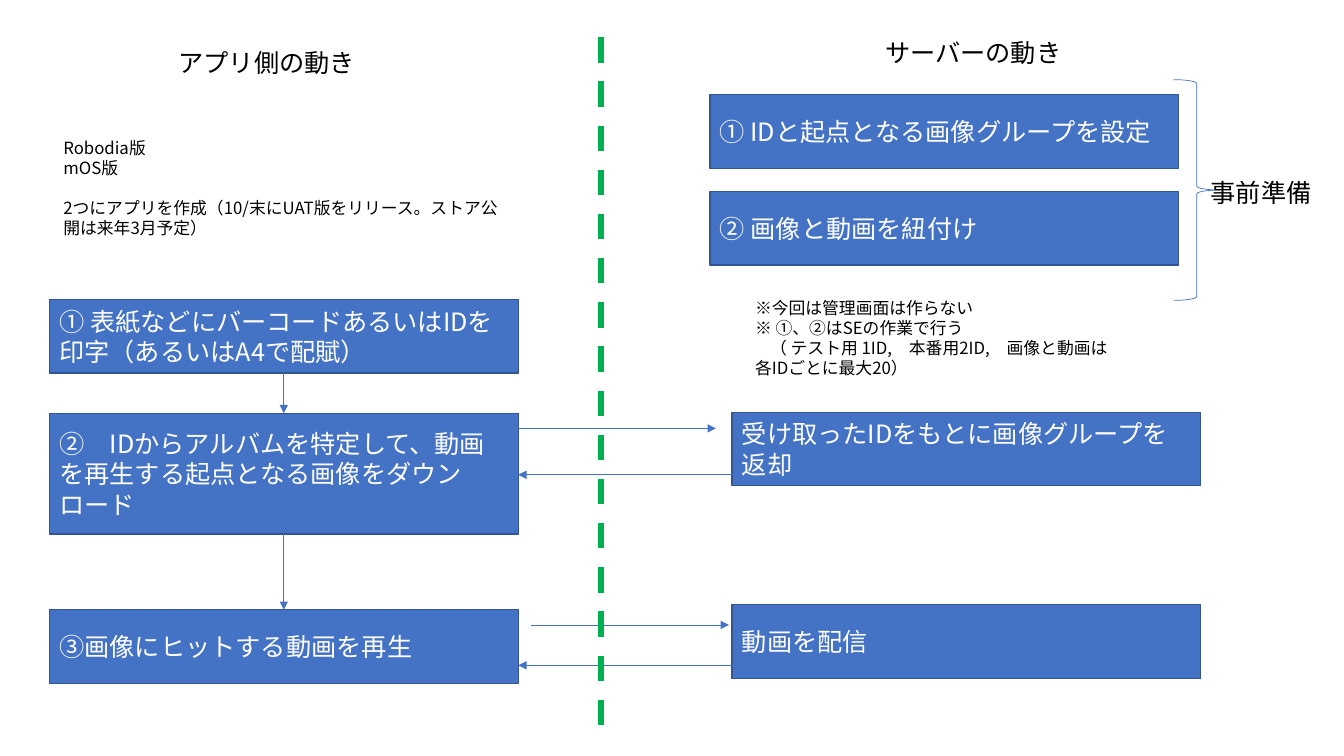
from dataclasses import dataclass
from pptx import Presentation
from pptx.dml.color import RGBColor
from pptx.enum.dml import MSO_LINE
from pptx.enum.shapes import MSO_CONNECTOR, MSO_SHAPE
from pptx.enum.text import MSO_ANCHOR, PP_ALIGN
from pptx.oxml.ns import qn
from pptx.util import Inches, Pt
from lxml import etree

RECT, BRACE = MSO_SHAPE.RECTANGLE, MSO_SHAPE.RIGHT_BRACE
LINE, DASH = MSO_CONNECTOR.STRAIGHT, MSO_LINE.DASH
TOP, MID, LEFT = MSO_ANCHOR.TOP, MSO_ANCHOR.MIDDLE, PP_ALIGN.LEFT


@dataclass(frozen=True)
class Theme:
    face: str = "Noto Sans CJK JP"
    big: int = 18
    small: int = 12
    blue: str = "4472C4"
    edge: str = "325491"
    green: str = "00B050"
    white: str = "FFFFFF"
    black: str = "000000"


T = Theme()
WIDE, HIGH, TALL = 4.65, 0.73, 1.2
APP, PREP, SERVE = 0.49, 7.04, 7.26

TITLE = ("アプリ側の動き", (1.67, 0.42, 1.97, 0.4))
LABELS = [
    ("サーバーの動き", (8.68, 0.32, 1.97, 0.4)),
    ("事前準備", (11.91, 1.71, 1.21, 0.4)),
]
STEPS = [
    ("① 表紙などにバーコードあるいはIDを印字（あるいはA4で配賦）", 2.97, HIGH),
    ("②　IDからアルバムを特定して、動画を再生する起点となる画像をダウンロード", 4.1, TALL),
    ("③画像にヒットする動画を再生", 6.05, HIGH),
]
SERVER = [
    ("① IDと起点となる画像グループを設定", PREP, 0.94),
    ("② 画像と動画を紐付け", PREP, 1.9),
    ("受け取ったIDをもとに画像グループを返却", SERVE, 4.09),
    ("動画を配信", SERVE, 6),
]
NOTES = [
    ((0.53, 1.32, 4.53, 1.11), [
        ("Robodia版", 0, 0),
        ("mOS版", 0, 0),
        ("2つにアプリを作成（10/末にUAT版をリリース。ストア公開は来年3月予定）", 14, 0),
    ]),
    ((7.39, 2.9, 3.78, 1.11), [
        ("※今回は管理画面は作らない", 0, 0),
        ("※ ①、②はSEの作業で行う", 0, 0),
        ("（ テスト用 1ID,　本番用2ID,　画像と動画は", 0, 0.15),
        ("各IDごとに最大20）", 0, 0),
    ]),
]
CALLS = [(5.14, 7.1, 4.25), (7.35, 5.14, 4.71), (7.35, 5.14, 6.6), (5.27, 7.23, 6.2)]
GROUP = (11.64, 0.79, 0.46, 2.19)
SPLIT = (5.96, 0.37, 5.96, 7.33)


def tint(code):
    return RGBColor.from_string(code)


def style(para, size, color):
    font = para.font
    font.name, font.size, font.bold = T.face, Pt(size), False
    font.color.rgb = tint(color)
    para.alignment = LEFT
    props = para._p.get_or_add_pPr().find(qn("a:defRPr"))
    east = etree.Element(qn("a:ea"), typeface=T.face)
    props.find(qn("a:latin")).addnext(east)


def write(shape, rows, size, color, wrap=True, anchor=TOP):
    frame = shape.text_frame
    frame.word_wrap, frame.vertical_anchor = wrap, anchor
    for num, (text, gap, dent) in enumerate(rows):
        para = frame.paragraphs[0] if num == 0 else frame.add_paragraph()
        para.text = text
        style(para, size, color)
        para.space_before = Pt(gap)
        if dent:
            props = para._p.get_or_add_pPr()
            props.set("marL", "0")
            props.set("indent", str(Inches(dent)))


def place(shape, area):
    shape.left, shape.top, shape.width, shape.height = map(Inches, area)


def add_box(text, area):
    box = slide.shapes.add_shape(RECT, *map(Inches, area))
    box.shadow.inherit = False
    box.fill.solid()
    box.fill.fore_color.rgb = tint(T.blue)
    box.line.color.rgb = tint(T.edge)
    box.line.width = Pt(1)
    write(box, [(text, 0, 0)], T.big, T.white, anchor=MID)


def add_line(ends, color, width):
    link = slide.shapes.add_connector(LINE, *map(Inches, ends))
    link.line.color.rgb = tint(color)
    link.line.width = Pt(width)
    etree.SubElement(link._element.spPr, qn("a:effectLst"))
    return link


def add_arrow(*ends):
    link = add_line(ends, T.blue, 0.5)
    etree.SubElement(link.line._get_or_add_ln(), qn("a:tailEnd"), type="triangle")


deck = Presentation()
deck.slide_width, deck.slide_height = Inches(13.33), Inches(7.5)
slide = deck.slides.add_slide(deck.slide_layouts[5])

text, area = TITLE
place(slide.shapes.title, area)
write(slide.shapes.title, [(text, 0, 0)], T.big, T.black, False)

for text, top, high in STEPS:
    add_box(text, (APP, top, WIDE, high))
for text, left, top in SERVER:
    add_box(text, (left, top, WIDE, HIGH))

mid = APP + WIDE / 2
for (_, top, high), (_, goal, _) in zip(STEPS, STEPS[1:]):
    add_arrow(mid, top + high, mid, goal)
for start, end, y in CALLS:
    add_arrow(start, y, end, y)
add_line(SPLIT, T.green, 4.5).line.dash_style = DASH

brace = slide.shapes.add_shape(BRACE, *map(Inches, GROUP))
brace.shadow.inherit = False
brace.fill.background()
brace.line.color.rgb = tint(T.blue)
brace.line.width = Pt(0.5)

for text, area in LABELS:
    label = slide.shapes.add_textbox(*map(Inches, area))
    write(label, [(text, 0, 0)], T.big, T.black, False)
for area, rows in NOTES:
    note = slide.shapes.add_textbox(*map(Inches, area))
    write(note, rows, T.small, T.black)

deck.save("out.pptx")
